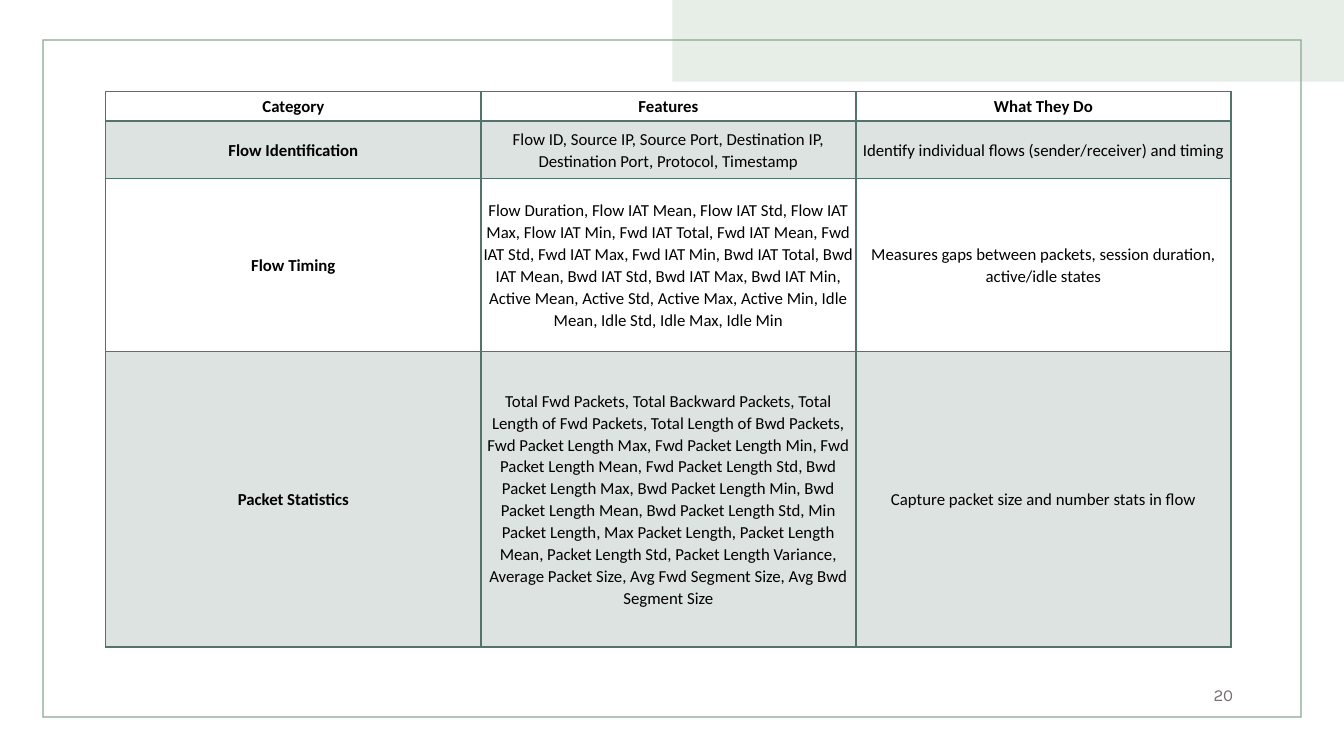
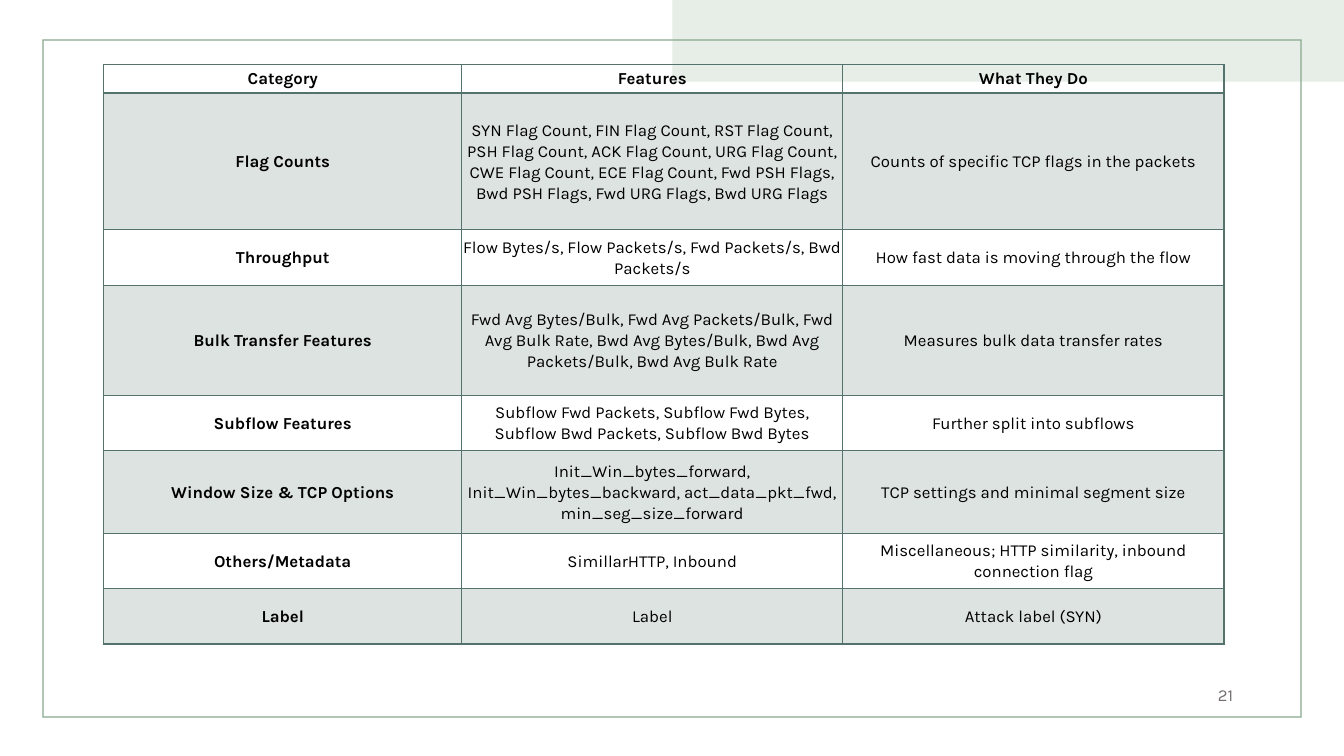
from lxml.etree import SubElement
from pptx import Presentation
from pptx.dml.color import RGBColor
from pptx.enum.shapes import MSO_SHAPE as SHAPE
from pptx.enum.text import MSO_ANCHOR as ANCHOR, PP_ALIGN as ALIGN
from pptx.oxml.ns import qn
from pptx.util import Inches, Pt

MINT, SAGE, GREEN = "E7EEE8", "88A88E", "55736D"
BLACK, GREY = "000000", "767171"
HEADER = ("Category", "Features", "What They Do")
CELL = {"vertical_anchor": ANCHOR.MIDDLE} | dict.fromkeys(
    ("margin_left", "margin_right", "margin_top", "margin_bottom"), Inches(0.01))
CELL_PARA = {"alignment": ALIGN.CENTER, "line_spacing": 1.07, "space_after": Pt(8)}

PAGES = [
    {
        "number": 20, "font": "Calibri", "at": (1.05, 0.91),
        "cols": (3.72, 3.72, 3.72), "rows": (0.29, 0.57, 1.72, 2.93),
        "cells": [
            HEADER,
            ("Flow Identification",
             "Flow ID, Source IP, Source Port, Destination IP, Destination Port, "
             "Protocol, Timestamp",
             "Identify individual flows (sender/receiver) and timing"),
            ("Flow Timing",
             "Flow Duration, Flow IAT Mean, Flow IAT Std, Flow IAT Max, Flow IAT Min, "
             "Fwd IAT Total, Fwd IAT Mean, Fwd IAT Std, Fwd IAT Max, Fwd IAT Min, "
             "Bwd IAT Total, Bwd IAT Mean, Bwd IAT Std, Bwd IAT Max, Bwd IAT Min, "
             "Active Mean, Active Std, Active Max, Active Min, "
             "Idle Mean, Idle Std, Idle Max, Idle Min",
             "Measures gaps between packets, session duration, active/idle states"),
            ("Packet Statistics",
             "Total Fwd Packets, Total Backward Packets, Total Length of Fwd Packets, "
             "Total Length of Bwd Packets, Fwd Packet Length Max, Fwd Packet Length Min, "
             "Fwd Packet Length Mean, Fwd Packet Length Std, Bwd Packet Length Max, "
             "Bwd Packet Length Min, Bwd Packet Length Mean, Bwd Packet Length Std, "
             "Min Packet Length, Max Packet Length, Packet Length Mean, "
             "Packet Length Std, Packet Length Variance, Average Packet Size, "
             "Avg Fwd Segment Size, Avg Bwd Segment Size",
             "Capture packet size and number stats in flow"),
        ],
    },
    {
        "number": 21, "font": "Karla", "at": (1.03, 0.64),
        "cols": (3.55, 3.78, 3.78),
        "rows": (0.28, 1.36, 0.55, 1.09, 0.55, 0.82, 0.55, 0.55),
        "cells": [
            HEADER,
            ("Flag Counts",
             "SYN Flag Count, FIN Flag Count, RST Flag Count, PSH Flag Count, "
             "ACK Flag Count, URG Flag Count, CWE Flag Count, ECE Flag Count, "
             "Fwd PSH Flags, Bwd PSH Flags, Fwd URG Flags, Bwd URG Flags",
             "Counts of specific TCP flags in the packets"),
            ("Throughput",
             "Flow Bytes/s, Flow Packets/s, Fwd Packets/s, Bwd Packets/s",
             "How fast data is moving through the flow"),
            ("Bulk Transfer Features",
             "Fwd Avg Bytes/Bulk, Fwd Avg Packets/Bulk, Fwd Avg Bulk Rate, "
             "Bwd Avg Bytes/Bulk, Bwd Avg Packets/Bulk, Bwd Avg Bulk Rate",
             "Measures bulk data transfer rates"),
            ("Subflow Features",
             "Subflow Fwd Packets, Subflow Fwd Bytes, Subflow Bwd Packets, "
             "Subflow Bwd Bytes",
             "Further split into subflows"),
            ("Window Size & TCP Options",
             "Init_Win_bytes_forward, Init_Win_bytes_backward, act_data_pkt_fwd, "
             "min_seg_size_forward",
             "TCP settings and minimal segment size"),
            ("Others/Metadata", "SimillarHTTP, Inbound",
             "Miscellaneous; HTTP similarity, inbound connection flag"),
            ("Label", "Label", "Attack label (SYN)"),
        ],
    },
]


def rgb(color):
    return RGBColor.from_string(color)


def write(p, text, para, color, font):
    r = p.add_run()
    r.text = text
    r.font.color.rgb = rgb(color)
    for obj, values in ((p, para), (r.font, {"size": Pt(12)} | font)):
        for name, value in values.items():
            setattr(obj, name, value)


prs = Presentation()
prs.slide_width, prs.slide_height = Inches(13.33), Inches(7.5)
layout = prs.slide_layouts[6]
slides = [prs.slides.add_slide(layout) for page in PAGES]

for kind, color, box in (
    (SHAPE.RECTANGLE, MINT, (6.67, 0, 6.67, 0.81)),
    (SHAPE.FRAME, SAGE, (0.42, 0.39, 12.49, 6.73)),
):
    sp = slides[0].shapes.add_shape(kind, *map(Inches, box))
    sp.shadow.inherit = False
    sp.fill.solid()
    sp.fill.fore_color.rgb = rgb(color)
    sp.line.fill.background()
    if kind == SHAPE.FRAME:
        sp.adjustments[0] = 0.002
    layout.shapes.element.append(sp.element)

for s, page in zip(slides, PAGES):
    cols, rows = page["cols"], page["rows"]
    box = (*page["at"], sum(cols), sum(rows))
    tbl = s.shapes.add_table(len(rows), len(cols), *map(Inches, box)).table
    tbl.first_row = tbl.horz_banding = False
    for col, width in zip(tbl.columns, cols):
        col.width = Inches(width)
    for row, height in zip(tbl.rows, rows):
        row.height = Inches(height)

    for i, texts in enumerate(page["cells"]):
        for j, text in enumerate(texts):
            cell = tbl.cell(i, j)
            for name, value in CELL.items():
                setattr(cell, name, value)
            write(cell.text_frame.paragraphs[0], text, CELL_PARA, BLACK,
                  {"name": page["font"], "bold": i == 0 or j == 0})

            tcPr = cell._tc.get_or_add_tcPr()
            for side in "LRTB":
                width = 2 if i == 0 and side == "B" else 1
                ln = SubElement(tcPr, qn(f"a:ln{side}"), w=str(Pt(width)))
                SubElement(SubElement(ln, qn("a:solidFill")), qn("a:srgbClr"), val=GREEN)

            if i % 2:
                cell.fill.solid()
                cell.fill.fore_color.rgb = rgb(GREEN)
                tint = tcPr.find(qn("a:solidFill")).find(qn("a:srgbClr"))
                SubElement(tint, qn("a:alpha"), val="20000")
            else:
                cell.fill.background()

    tf = s.shapes.add_textbox(*map(Inches, (9.33, 6.69, 3, 0.4))).text_frame
    tf.word_wrap = True
    tf.vertical_anchor = ANCHOR.MIDDLE
    write(tf.paragraphs[0], str(page["number"]), {"alignment": ALIGN.RIGHT}, GREY,
          {"name": "Karla"})

prs.save("out.pptx")
